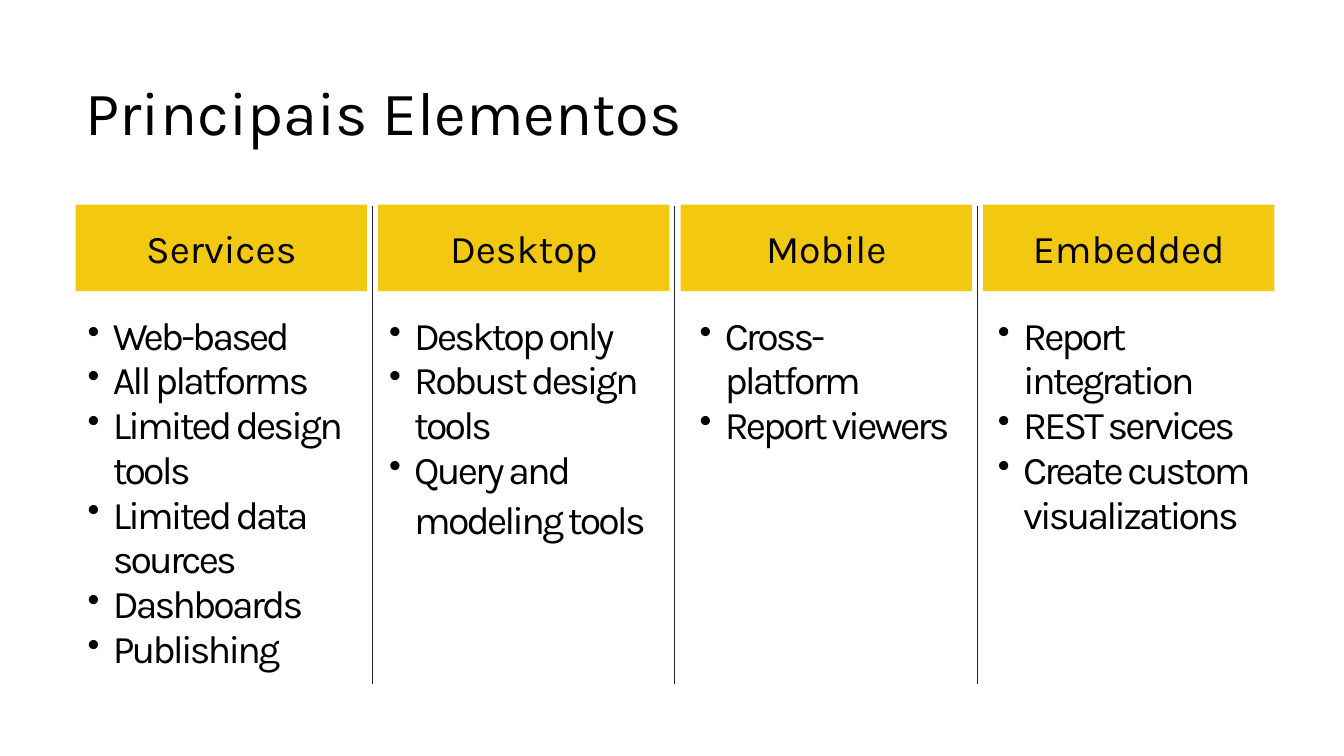
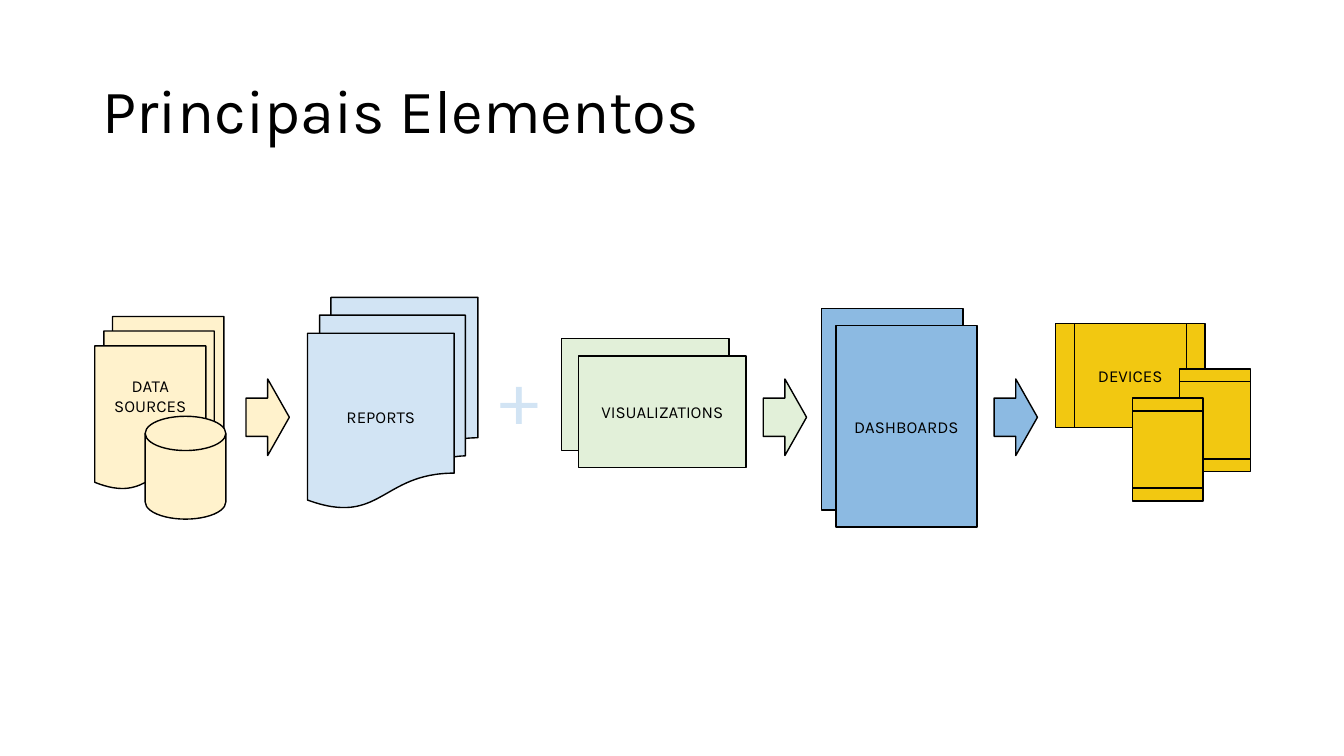
"""Builds two slides on the main elements of a reporting platform."""
from dataclasses import dataclass

from lxml import etree
from pptx import Presentation
from pptx.dml.color import RGBColor
from pptx.enum.shapes import MSO_CONNECTOR, MSO_SHAPE
from pptx.enum.text import MSO_ANCHOR, PP_ALIGN
from pptx.oxml.ns import qn
from pptx.util import Inches, Pt

RECTANGLE = MSO_SHAPE.RECTANGLE
DOCUMENTS = MSO_SHAPE.FLOWCHART_MULTIDOCUMENT
DISK = MSO_SHAPE.FLOWCHART_MAGNETIC_DISK
DEVICE = MSO_SHAPE.FLOWCHART_PREDEFINED_PROCESS
ARROW = MSO_SHAPE.RIGHT_ARROW
STRAIGHT = MSO_CONNECTOR.STRAIGHT
MIDDLE = MSO_ANCHOR.MIDDLE
CENTER = PP_ALIGN.CENTER


@dataclass(frozen=True)
class Theme:
    font: str = "Karla"
    ink: str = "000000"
    rule: str = "212121"
    paper: str = "FFFFFF"
    gold: str = "F2C811"
    cream: str = "FFF2CC"
    pale_blue: str = "D2E4F4"
    blue: str = "8CBAE2"
    green: str = "E2F0D9"
    title_size: int = 44
    body_size: int = 28
    tail_size: int = 32
    label_size: int = 12
    plus_size: int = 54
    tracking: int = -200
    outline: float = 1
    rule_width: float = 0.5


class Deck:
    def __init__(self, theme):
        self.theme = theme
        self.presentation = Presentation()
        self.presentation.slide_width = Inches(13.33)
        self.presentation.slide_height = Inches(7.5)
        self.slide = None

    def new_slide(self, title, left, top):
        blank = self.presentation.slide_layouts[6]
        self.slide = self.presentation.slides.add_slide(blank)
        frame = self.text_box(left, top, 11.5, 1.45)
        frame.vertical_anchor = MIDDLE
        heading = frame.paragraphs[0]
        heading.line_spacing = 0.9
        self.run(heading, title, self.theme.title_size)

    def run(self, paragraph, text, size, color=None):
        run = paragraph.add_run()
        run.text = text
        run.font.name = self.theme.font
        run.font.size = Pt(size)
        run.font.color.rgb = RGBColor.from_string(color or self.theme.ink)
        return run

    def text_box(self, left, top, width, height):
        box = self.slide.shapes.add_textbox(
            Inches(left), Inches(top), Inches(width), Inches(height))
        box.text_frame.word_wrap = True
        return box.text_frame

    def bullets(self, left, top, width, height, items):
        frame = self.text_box(left, top, width, height)
        for index, item in enumerate(items):
            paragraph = frame.add_paragraph() if index else frame.paragraphs[0]
            paragraph.line_spacing = 0.95
            properties = paragraph._p.get_or_add_pPr()
            properties.set("marL", str(Inches(0.25)))
            properties.set("indent", str(Inches(-0.25)))
            etree.SubElement(properties, qn("a:buSzPct")).set("val", "90000")
            etree.SubElement(properties, qn("a:buChar")).set("char", "•")
            for text, size in item:
                run = self.run(paragraph, text, size)
                run._r.get_or_add_rPr().set("spc", str(self.theme.tracking))

    def shape(self, kind, left, top, width, height, fill, label="", size=None,
              outlined=True, rotation=0, color=None):
        shape = self.slide.shapes.add_shape(
            kind, Inches(left), Inches(top), Inches(width), Inches(height))
        shape.shadow.inherit = False
        shape.rotation = rotation
        shape.fill.solid()
        shape.fill.fore_color.rgb = RGBColor.from_string(fill)
        if outlined:
            shape.line.color.rgb = RGBColor.from_string(self.theme.ink)
            shape.line.width = Pt(self.theme.outline)
        else:
            shape.line.fill.background()
        frame = shape.text_frame
        if label:
            frame.word_wrap = True
            frame.vertical_anchor = MIDDLE
            frame.paragraphs[0].alignment = CENTER
            self.run(frame.paragraphs[0], label,
                     size or self.theme.label_size, color)
        return frame

    def stack(self, left, top, width, height, step, fill, label):
        self.shape(RECTANGLE, left, top, width, height, fill)
        self.shape(RECTANGLE, left + step, top + 0.17, width, height, fill, label)

    def divider(self, x, top, bottom):
        rule = self.slide.shapes.add_connector(
            STRAIGHT, Inches(x), Inches(top), Inches(x), Inches(bottom))
        rule.line.color.rgb = RGBColor.from_string(self.theme.rule)
        rule.line.width = Pt(self.theme.rule_width)
        etree.SubElement(rule._element.spPr, qn("a:effectLst"))


def build_products(deck):
    theme = deck.theme
    deck.new_slide("Principais Elementos", 0.75, 0.42)
    products = [
        ("Services", 0.77, 2.82,
         ["Web-based", "All platforms", "Limited design tools",
          "Limited data sources", "Dashboards", "Publishing"]),
        ("Desktop", 3.76, 2.82,
         ["Desktop only", "Robust design tools", "Query and modeling tools"]),
        ("Mobile", 6.84, 2.74, ["Cross-platform", "Report viewers"]),
        ("Embedded", 9.8, 2.86,
         ["Report integration", "REST services",
          "Create custom visualizations"]),
    ]
    for column, (name, list_left, list_width, features) in enumerate(products):
        left = 0.75 + 3 * column
        deck.shape(RECTANGLE, left, 2.03, 2.89, 0.86, theme.gold, name,
                   theme.body_size, outlined=False)
        if column:
            deck.divider(left - 0.06, 2.04, 6.79)
        items = [[(feature, theme.body_size)] for feature in features]
        if name == "Desktop":
            items[-1].append((" ", theme.tail_size))
        deck.bullets(list_left, 3.07, list_width, 3.68, items)


def build_flow(deck):
    theme = deck.theme
    deck.new_slide("Principais Elementos", 0.92, 0.4)

    sources = deck.shape(DOCUMENTS, 0.94, 3.14, 1.28, 1.71, theme.cream,
                         "DATA SOURCES")
    sources.margin_bottom = Inches(0.41)
    deck.shape(DISK, 1.44, 4.13, 0.8, 1.02, theme.cream)

    deck.shape(DOCUMENTS, 3.05, 2.95, 1.69, 2.09, theme.pale_blue, "REPORTS")
    plus = deck.shape(RECTANGLE, 4.79, 3.41, 0.72, 1.01, theme.paper, "+",
                      theme.plus_size, outlined=False, color=theme.pale_blue)
    plus.word_wrap = False

    deck.stack(5.57, 3.36, 1.66, 1.11, 0.17, theme.green, "VISUALIZATIONS")
    deck.stack(8.15, 3.06, 1.4, 2, 0.14, theme.blue, "DASHBOARDS")

    deck.shape(DEVICE, 10.47, 3.21, 1.48, 1.03, theme.gold, "DEVICES")
    for left, top in ((11.54, 3.82), (11.07, 4.11)):
        deck.shape(DEVICE, left, top, 1.02, 0.7, theme.gold, rotation=90)

    for left, fill in ((2.44, theme.cream), (7.57, theme.green),
                       (9.86, theme.blue)):
        deck.shape(ARROW, left, 3.76, 0.43, 0.76, fill)


def main():
    deck = Deck(Theme())
    build_products(deck)
    build_flow(deck)
    deck.presentation.save("out.pptx")


if __name__ == "__main__":
    main()
